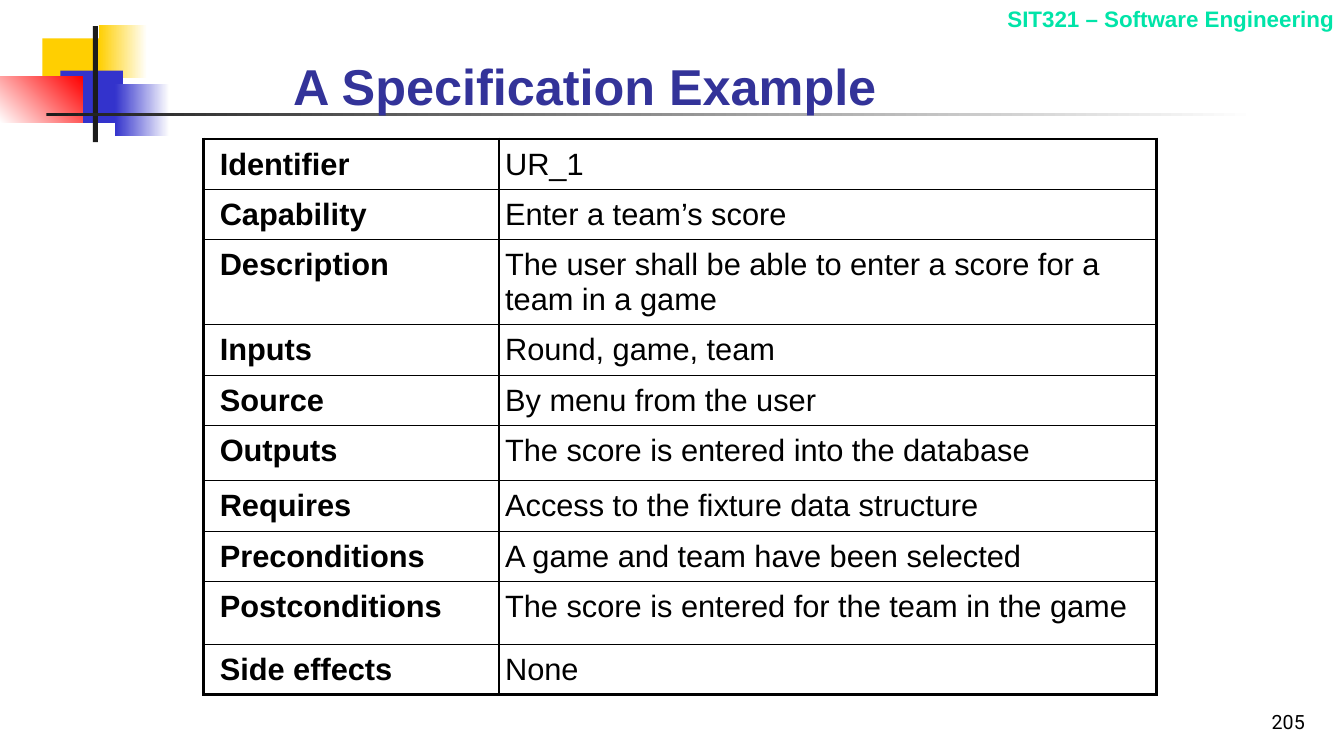
from typing import NamedTuple

from lxml import etree
from pptx import Presentation
from pptx import util as u
from pptx.dml.color import RGBColor
from pptx.enum import shapes, text
from pptx.oxml import ns


class Block(NamedTuple):
    left: float
    top: float
    width: float
    height: float
    color: str
    end: str = ""
    angle: int = 0


class Row(NamedTuple):
    label: str
    value: str
    height: float = 0.5


BLOCKS = [
    Block(0.42, 0.38, 0.64, 0.52, "FFCF01"),
    Block(0.98, 0.25, 0.48, 0.52, "FFCF01", "FFFFFF"),
    Block(0.6, 0.7, 0.62, 0.52, "3333CC"),
    Block(1.14, 0.83, 0.54, 0.52, "3333CC", "FFFFFF"),
    Block(0, 0.76, 0.82, 0.46, "FFFFFF", "FF0000", 45),
    Block(0.92, 0.26, 0.05, 1.15, "1C1C1C"),
    Block(0.46, 1.12, 12, 0.03, "1C1C1C", "FFFFFF"),
]

ROWS = [
    Row("Identifier", "UR_1"),
    Row("Capability", "Enter a team’s score"),
    Row("Description", "The user shall be able to enter a score for a team in a game", 0.84),
    Row("Inputs", "Round, game, team"),
    Row("Source", "By menu from the user"),
    Row("Outputs", "The score is entered into the database", 0.54),
    Row("Requires", "Access to the fixture data structure", 0.51),
    Row("Preconditions", "A game and team have been selected"),
    Row("Postconditions", "The score is entered for the team in the game", 0.62),
    Row("Side effects", "None"),
]
WIDTHS = (2.93, 6.52)
INSETS = (0.16, 0.06)
THIN, THICK = 1, 2.25


def rgb(code: str) -> RGBColor:
    return RGBColor.from_string(code)


def write(frame, words: str, *, size: float, color: str = "000000", font: str = "Arial",
          bold: bool = False, align=text.PP_ALIGN.LEFT) -> None:
    frame.word_wrap = True
    para = frame.paragraphs[0]
    para.alignment = align
    run = para.add_run()
    run.text = words
    run.font.size = u.Pt(size)
    run.font.name = font
    run.font.bold = bold
    run.font.color.rgb = rgb(color)


def add_box(slide, left: float, top: float, width: float, height: float,
            words: str, anchor=text.MSO_ANCHOR.TOP, **style) -> None:
    box = slide.shapes.add_textbox(*map(u.Inches, (left, top, width, height)))
    box.text_frame.vertical_anchor = anchor
    write(box.text_frame, words, **style)


def add_block(slide, block: Block) -> None:
    shape = slide.shapes.add_shape(shapes.MSO_SHAPE.RECTANGLE, *map(u.Inches, block[:4]))
    shape.shadow.inherit = False
    shape.line.fill.background()
    if not block.end:
        shape.fill.solid()
        shape.fill.fore_color.rgb = rgb(block.color)
        return
    shape.fill.gradient()
    shape.fill.gradient_angle = block.angle
    for place, (stop, color) in enumerate(zip(shape.fill.gradient_stops, (block.color, block.end))):
        stop.position = place
        stop.color.rgb = rgb(color)


def set_edges(cell, **edges: float) -> None:
    """Draw black borders; edges come in the order L, R, T, B, in points."""
    props = cell._tc.get_or_add_tcPr()
    for index, (side, width) in enumerate(edges.items()):
        line = etree.Element(ns.qn(f"a:ln{side}"), w=str(u.Pt(width)))
        fill = etree.SubElement(line, ns.qn("a:solidFill"))
        etree.SubElement(fill, ns.qn("a:srgbClr"), val="000000")
        props.insert(index, line)


def add_grid(slide, left: float, top: float) -> None:
    size = sum(WIDTHS), sum(row.height for row in ROWS)
    frame = slide.shapes.add_table(len(ROWS), len(WIDTHS), *map(u.Inches, (left, top, *size)))
    table = frame.table
    table.first_row = table.horz_banding = False
    for column, width in zip(table.columns, WIDTHS):
        column.width = u.Inches(width)
    last = len(ROWS) - 1
    for r, row in enumerate(ROWS):
        table.rows[r].height = u.Inches(row.height)
        for c, words in enumerate((row.label, row.value)):
            cell = table.cell(r, c)
            cell.fill.background()
            cell.margin_left, cell.margin_right = u.Inches(INSETS[c]), 0
            cell.margin_top, cell.margin_bottom = u.Inches(0.08), u.Inches(0.03)
            write(cell.text_frame, words, size=22, bold=c == 0)
            set_edges(cell,
                      L=THICK if c == 0 else THIN,
                      R=THICK if c == 1 else THIN,
                      T=THICK if r == 0 else THIN,
                      B=THICK if r == last else THIN)


def main() -> None:
    deck = Presentation()
    deck.slide_width, deck.slide_height = u.Inches(13.33), u.Inches(7.5)
    slide = deck.slides.add_slide(deck.slide_layouts[6])
    for block in BLOCKS:
        add_block(slide, block)
    right, low = text.PP_ALIGN.RIGHT, text.MSO_ANCHOR.BOTTOM
    add_box(slide, 8.03, 0, 5.3, 0.37, "SIT321 – Software Engineering",
            size=16, color="00E4A8", bold=True, align=right)
    add_box(slide, 10.26, 6.83, 2.78, 0.5, "205", low, size=14, font="Roboto", align=right)
    add_box(slide, 2.81, 0.45, 7.36, 0.75, "A Specification Example", low,
            size=36, color="333399", bold=True)
    add_grid(slide, 2.02, 1.38)
    deck.save("out.pptx")


if __name__ == "__main__":
    main()
